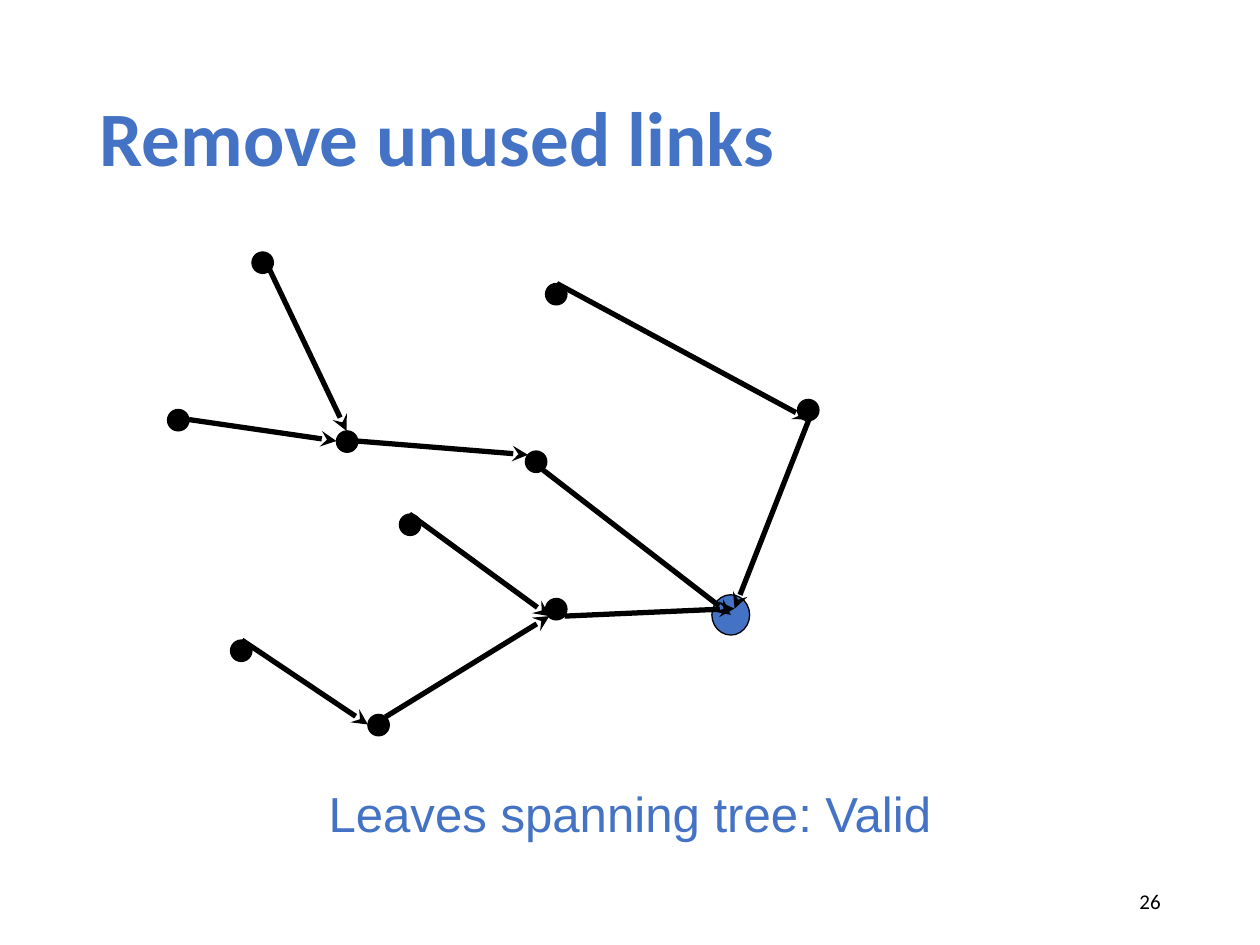
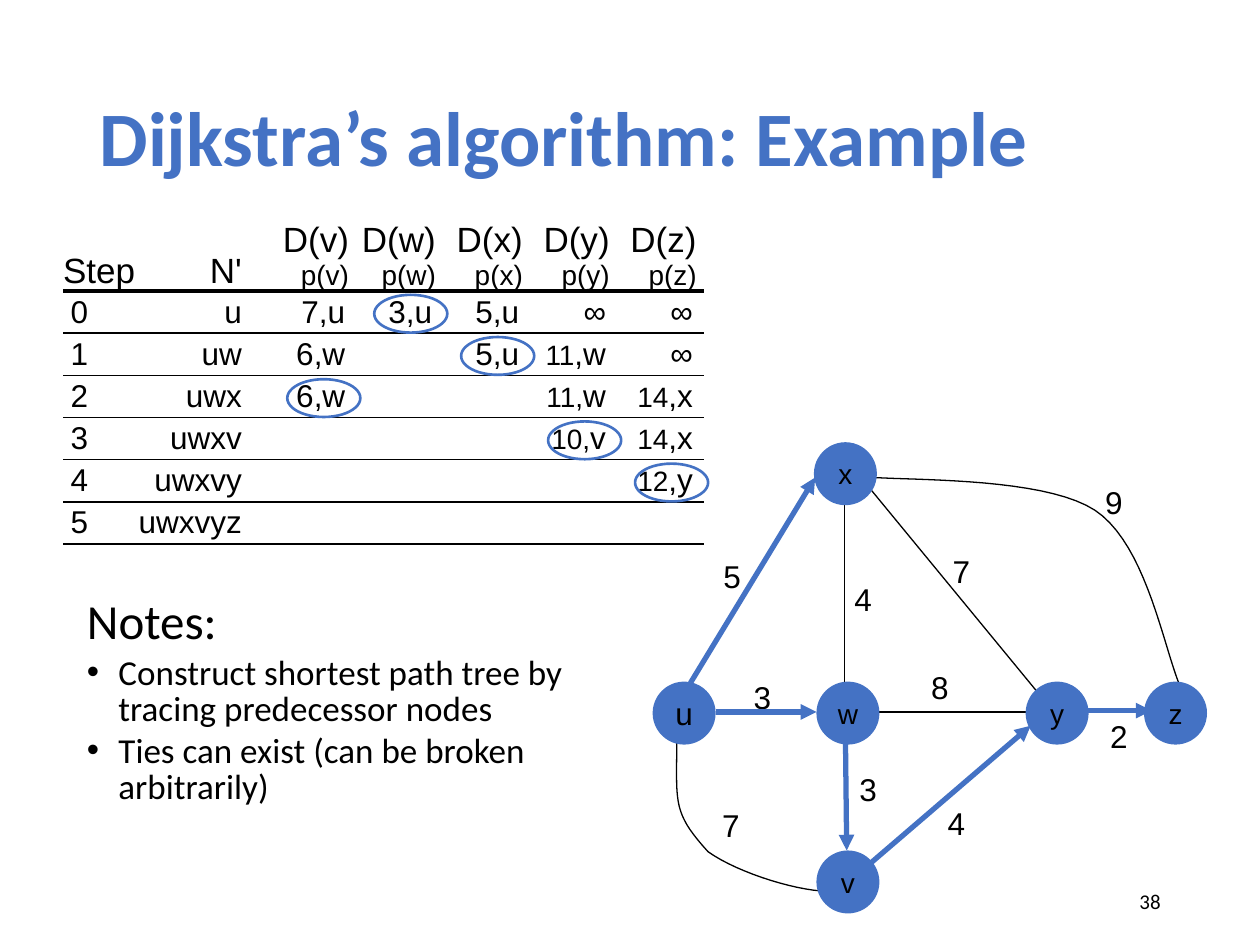
from dataclasses import dataclass

from lxml.etree import SubElement as Sub
from pptx import Presentation
from pptx.dml.color import RGBColor as RGB
from pptx.enum.shapes import MSO_CONNECTOR as CONN, MSO_SHAPE as SHAPE
from pptx.enum.text import MSO_ANCHOR as ANCHOR, MSO_AUTO_SIZE as FIT, PP_ALIGN as ALIGN
from pptx.oxml.ns import qn
from pptx.util import Inches, Pt


@dataclass(frozen=True)
class Theme:
    """Colours, fonts, type sizes and line widths."""
    accent: RGB = RGB(0x44, 0x72, 0xC4)
    ink: RGB = RGB(0, 0, 0)
    head: str = "Calibri"
    label: str = "Arial"
    title: float = 44
    caption: float = 28.1
    notes: float = 28
    item: float = 20
    value: float = 18
    small: float = 16
    number: float = 12
    hair: float = 0.75
    rule: float = 1
    ring: float = 1.5
    header_rule: float = 2.25
    arrow: float = 3


@dataclass(frozen=True)
class Box:
    """A region in inches; what it holds is placed from its top left corner."""
    x: float
    y: float
    w: float
    h: float

    def at(self, x, y):
        """Give a point of the box as lengths on the slide."""
        return Inches(self.x + x), Inches(self.y + y)

    def area(self, x, y, w, h):
        """Give a rectangle inside the box as lengths on the slide."""
        return *self.at(x, y), Inches(w), Inches(h)

    @property
    def frame(self):
        """Give the whole box as lengths on the slide."""
        return self.area(0, 0, self.w, self.h)


T = Theme()
TITLE = Box(0.69, 0.4, 8.62, 1.45)
NUMBER = Box(7.06, 6.95, 2.25, 0.4)
NO_GRID = "{2D5ABB26-0587-4C30-8999-92F81FD0307C}"
TIGHT = dict(margin_left=0, margin_right=0, margin_top=0, margin_bottom=0)


def apply(obj, **values):
    """Set each format value on an object."""
    for name, value in values.items():
        setattr(obj, name, value)


def add_run(p, text, size, font=T.label, color=T.ink, bold=False):
    """Add one formatted run to a paragraph."""
    r = p.add_run()
    r.text = text
    apply(r.font, size=Pt(size), name=font, bold=bold)
    r.font.color.rgb = color


def add_text(s, frame, text, size, align=ALIGN.CENTER, anchor=ANCHOR.MIDDLE, **font):
    """Add a one-paragraph text box."""
    tf = s.shapes.add_textbox(*frame).text_frame
    apply(tf, word_wrap=True, vertical_anchor=anchor)
    p = tf.paragraphs[0]
    p.alignment = align
    add_run(p, text, size, **font)


def add_oval(s, frame, fill=None, line=None, width=T.hair):
    """Add an ellipse; a missing fill or line is left empty."""
    sp = s.shapes.add_shape(SHAPE.OVAL, *frame)
    sp.shadow.inherit = False
    if fill is None:
        sp.fill.background()
    else:
        sp.fill.solid()
        sp.fill.fore_color.rgb = fill
    if line is None:
        sp.line.fill.background()
    else:
        sp.line.color.rgb = line
        sp.line.width = Pt(width)
    return sp


def add_line(s, start, end, color=T.ink, width=T.hair, arrow=None):
    """Add a straight connector with an optional arrowhead at its end."""
    sp = s.shapes.add_connector(CONN.STRAIGHT, *start, *end)
    sp.line.color.rgb = color
    sp.line.width = Pt(width)
    spPr = sp._element.spPr
    if arrow:
        Sub(spPr.find(qn("a:ln")), qn("a:tailEnd"), type=arrow)
    Sub(spPr, qn("a:effectLst"))


def add_curve(s, box, points, steps=20):
    """Draw joined cubic curves through every third point."""
    dots = []
    for i in range(0, len(points) - 1, 3):
        for k in range(1, steps + 1):
            t = k / steps
            weights = (1 - t) ** 3, 3 * t * (1 - t) ** 2, 3 * t * t * (1 - t), t ** 3
            x, y = (sum(w * c for w, c in zip(weights, axis))
                    for axis in zip(*points[i:i + 4]))
            dots.append(box.at(x, y))
    fb = s.shapes.build_freeform(*box.at(*points[0]))
    fb.add_line_segments(dots, close=False)
    sp = fb.convert_to_shape()
    sp.shadow.inherit = False
    sp.fill.background()
    sp.line.color.rgb = T.ink
    sp.line.width = Pt(T.hair)


def place(sp, box):
    """Move a placeholder to a box."""
    apply(sp, **dict(zip(("left", "top", "width", "height"), box.frame)))


def new_slide(prs, layout, title, number):
    """Add a slide with the shared title and page number."""
    s = prs.slides.add_slide(prs.slide_layouts.get_by_name(layout))
    place(s.shapes.title, TITLE)
    tf = s.shapes.title.text_frame
    apply(tf, vertical_anchor=ANCHOR.MIDDLE, auto_size=FIT.NONE, word_wrap=True)
    p = tf.paragraphs[0]
    apply(p, alignment=ALIGN.LEFT, line_spacing=0.9)
    add_run(p, title, T.title, T.head, T.accent, True)
    add_text(s, NUMBER.frame, number, T.number, ALIGN.RIGHT, font=T.head)
    return s


def spanning_tree(s, box):
    """Draw the dots, the root and the links that lead to it."""
    dots = [(0.67, 0), (0, 1.25), (3, 0.25), (3, 2.75), (1.59, 3.67),
            (1.34, 1.42), (5, 1.17), (1.84, 2.08), (0.5, 3.08), (2.84, 1.58)]
    links = [(0.81, 0.14, 1.42, 1.42), (2.98, 1.73, 4.47, 2.88),
             (3.09, 0.25, 5.09, 1.33), (0.59, 3.08, 1.59, 3.75),
             (1.92, 2.08, 3.03, 2.89), (3.15, 2.89, 4.5, 2.83),
             (1.5, 1.5, 2.86, 1.61), (0.17, 1.33, 1.34, 1.5),
             (1.73, 3.69, 3.03, 2.89), (5.09, 1.33, 4.5, 2.83)]
    add_oval(s, box.area(4.32, 2.72, 0.3, 0.32), T.accent, T.ink)
    for x, y in dots:
        add_oval(s, box.area(x, y, 0.17, 0.17), T.ink, T.ink)
    for x1, y1, x2, y2 in links:
        add_line(s, box.at(x1, y1), box.at(x2, y2), width=T.arrow, arrow="stealth")


def add_rule(cell, width):
    """Draw the bottom border of a cell."""
    ln = Sub(cell._tc.get_or_add_tcPr(), qn("a:lnB"), w=str(Pt(width)))
    Sub(Sub(ln, qn("a:solidFill")), qn("a:srgbClr"), val=str(T.ink))


def fill_cell(cell, text, col, header):
    """Write one cell; a bar splits a header's lines or a value's sizes."""
    apply(cell, **TIGHT)
    cell.vertical_anchor = ANCHOR.BOTTOM if header else ANCHOR.MIDDLE
    if col == 0:
        cell.margin_left = Inches(0 if header else 0.06)
    elif col > 1:
        cell.margin_right = Inches(0.06 if header else 0.09)
    tf = cell.text_frame
    tf.word_wrap = True
    first, _, second = text.partition("|")
    p = tf.paragraphs[0]
    if header:
        add_run(p, first, T.item)
        if second:
            add_run(tf.add_paragraph(), second, T.small)
    elif second:
        add_run(p, first, T.small)
        add_run(p, second, T.value)
    elif first:
        add_run(p, first, T.value)
    else:
        p.font.size = Pt(T.value)
    for p in tf.paragraphs:
        p.alignment = ALIGN.RIGHT if col else ALIGN.LEFT
    add_rule(cell, T.header_rule if header else T.rule)
    cell.fill.background()


def distance_table(s, box):
    """Build the table of distances and ring the node chosen at each step."""
    rows = [["Step", "N'"] + [f"D({n})|p({n})" for n in "vwxyz"],
            ["0", "u", "7,u", "3,u", "5,u", "∞", "∞"],
            ["1", "uw", "6,w", "", "5,u", "11|,w", "∞"],
            ["2", "uwx", "6,w", "", "", "11,|w", "14|,x"],
            ["3", "uwxv", "", "", "", "10,|v", "14|,x"],
            ["4", "uwxvy", "", "", "", "", "12|,y"],
            ["5", "uwxvyz", "", "", "", "", ""]]
    widths = [0.58, 0.84, 0.91] + [0.69] * 4
    head = 0.63
    pitch = (box.h - head) / (len(rows) - 1)
    tbl = s.shapes.add_table(len(rows), len(widths), *box.frame).table
    apply(tbl, first_row=False, horz_banding=False)
    tbl._tbl.tblPr.find(qn("a:tableStyleId")).text = NO_GRID
    for column, width in zip(tbl.columns, widths):
        column.width = Inches(width)
    for i, row in enumerate(rows):
        tbl.rows[i].height = Inches(pitch if i else head)
        for j, text in enumerate(row):
            fill_cell(tbl.cell(i, j), text, j, i == 0)
    for step, col in enumerate((3, 4, 2, 5, 6)):
        right = sum(widths[:col + 1])
        add_oval(s, box.area(right - 0.55, head + step * pitch + 0.03, 0.58, 0.3),
                 line=T.accent, width=T.ring)


def notes(s, box):
    """Fill the body placeholder with a heading and bulleted remarks."""
    sp = s.placeholders[1]
    place(sp, box)
    tf = sp.text_frame
    apply(tf, auto_size=FIT.NONE, word_wrap=True, vertical_anchor=ANCHOR.TOP)
    lines = ["Notes:",
             "Construct shortest path tree by tracing predecessor nodes",
             "Ties can exist (can be broken arbitrarily)"]
    for i, text in enumerate(lines):
        p = tf.add_paragraph() if i else tf.paragraphs[0]
        size = T.item if i else T.notes
        indent = Inches(0.25 if i else 0)
        apply(p, line_spacing=0.85, space_before=Pt(size * 0.2))
        pPr = p._p.get_or_add_pPr()
        pPr.set("marL", str(indent))
        pPr.set("indent", str(-indent))
        if i:
            Sub(pPr, qn("a:buChar"), char="•")
        else:
            Sub(pPr, qn("a:buNone"))
        add_run(p, text, size, T.head)


def weighted_graph(s, box):
    """Draw the network with its weights and shortest path arrows."""
    nodes = {"x": (1.28, 0), "u": (0, 1.9), "z": (3.9, 1.9),
             "v": (1.3, 3.24), "y": (2.96, 1.9), "w": (1.3, 1.9)}
    edges = [(1.52, 0.39, 1.52, 1.96), (1.62, 0.24, 3.15, 2.1), (1.78, 2.14, 2.98, 2.14)]
    curves = [[(0.19, 2.26), (0.2, 2.85), (0.13, 2.91), (0.44, 3.25),
               (0.75, 3.47), (1.46, 3.65), (1.55, 3.52)],
              [(1.62, 0.27), (1.93, 0.31), (3.08, 0.26), (3.51, 0.54),
               (3.93, 0.82), (4.06, 1.67), (4.2, 1.97)]]
    arrows = [(3.43, 2.13, 3.96, 2.13), (1.73, 3.34, 3, 2.25), (1.53, 2.34, 1.54, 3.24),
              (0.3, 1.91, 1.29, 0.28), (0.5, 2.14, 1.3, 2.14)]
    weights = [("3", 0.87, 2.02), ("4", 1.67, 1.24), ("5", 0.63, 1.06), ("3", 1.71, 2.75),
               ("7", 0.62, 3.04), ("4", 2.41, 3.02), ("8", 2.28, 1.94), ("2", 3.7, 2.33),
               ("7", 2.45, 1.02), ("9", 3.66, 0.47)]
    for text, x, y in weights:
        add_text(s, box.area(x - 0.17, y - 0.2, 0.34, 0.4), text, T.value)
    for x1, y1, x2, y2 in edges:
        add_line(s, box.at(x1, y1), box.at(x2, y2))
    for points in curves:
        add_curve(s, box, points)
    for name, (x, y) in nodes.items():
        tf = add_oval(s, box.area(x, y, 0.5, 0.5), T.accent).text_frame
        apply(tf, vertical_anchor=ANCHOR.MIDDLE, word_wrap=False, **TIGHT)
        tf.paragraphs[0].alignment = ALIGN.CENTER
        add_run(tf.paragraphs[0], name, T.value if name == "u" else T.small)
    for x1, y1, x2, y2 in arrows:
        add_line(s, box.at(x1, y1), box.at(x2, y2), T.accent, T.arrow, "triangle")


def main():
    """Build both slides and save them."""
    prs = Presentation()
    apply(prs, slide_width=Inches(10), slide_height=Inches(7.5))

    s = new_slide(prs, "Title Only", "Remove unused links", "26")
    spanning_tree(s, Box(1.33, 2, 5.17, 3.84))
    add_text(s, Box(1.75, 6.17, 6.5, 0.57).frame, "Leaves spanning tree: Valid",
             T.caption, anchor=ANCHOR.TOP, color=T.accent)

    s = new_slide(prs, "Title and Content", "Dijkstra’s algorithm: Example", "38")
    distance_table(s, Box(0.5, 1.68, 5.09, 2.64))
    notes(s, Box(0.59, 4.71, 4.17, 2.62))
    weighted_graph(s, Box(5.18, 3.51, 4.4, 3.74))
    prs.save("out.pptx")


main()
